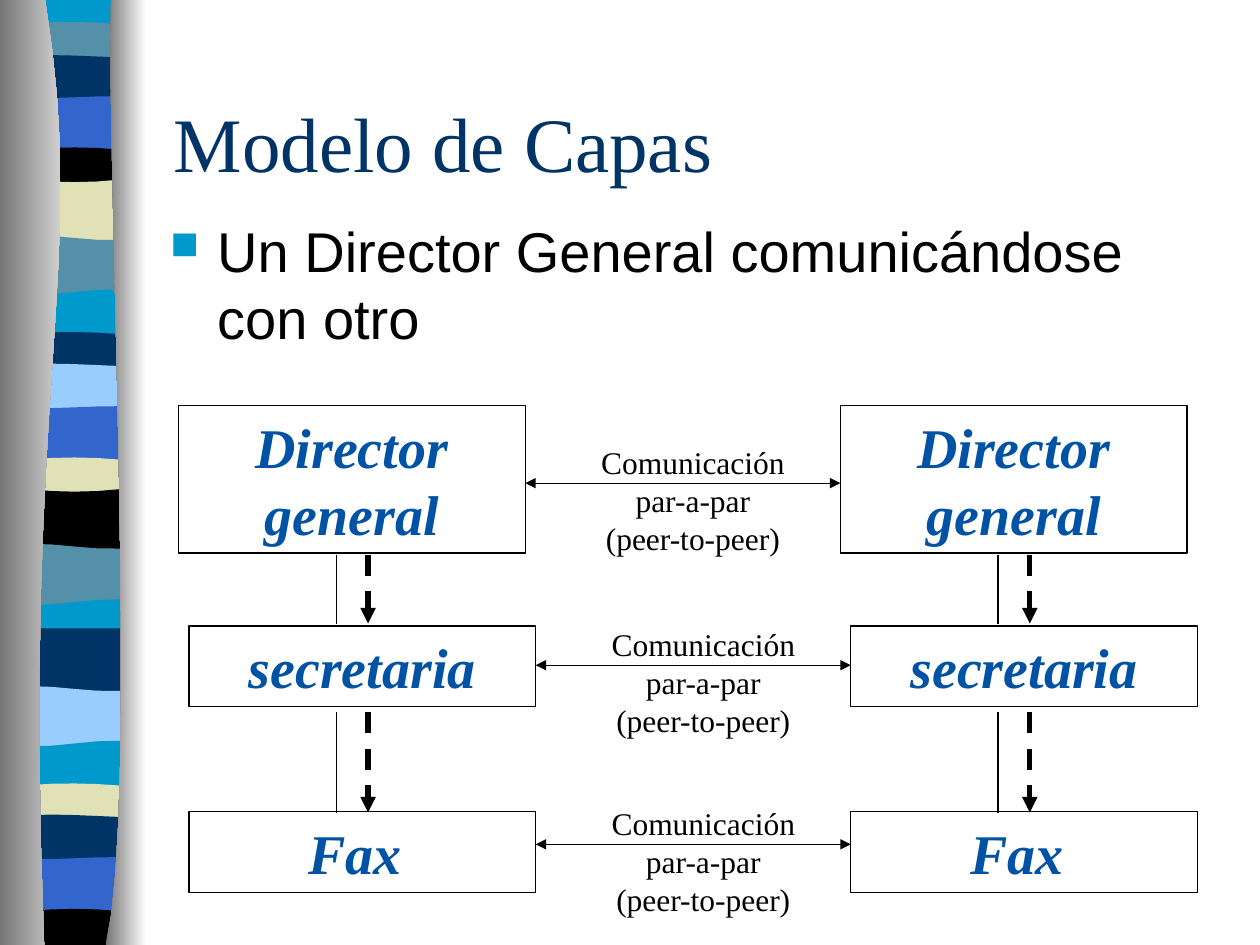
from dataclasses import dataclass

from lxml import etree
from pptx import Presentation
from pptx import util as u
from pptx.dml.color import RGBColor
from pptx.enum import dml, shapes, text
from pptx.oxml.ns import qn


@dataclass(frozen=True)
class Theme:
    serif: str = "Times New Roman"
    sans: str = "Arial"
    head: int = 44
    large: int = 32
    small: int = 18
    ink: str = "000000"
    navy: str = "003366"
    label: str = "0052A4"
    cyan: str = "0099CC"
    teal: str = "5490A8"
    sand: str = "E1E1B7"
    blue: str = "3366CC"
    sky: str = "99CCFF"
    dark: str = "767676"
    pale: str = "D0D0D0"
    white: str = "FFFFFF"


T = Theme()

# Offsets of the four control points of a stripe's upper edge
FLAT = (0, 0, 0, 0)
ARCH = (0, -0.13, -0.1, 0)
LIFT = (0, -0.13, 0, 0)
SAG = (0, 0.15, 0.15, 0)
BOWL = (0, -0.13, -0.13, 0)
RISE = (0, -0.15, 0.2, 0)
FALL = (0, 0.2, -0.2, 0)
ROLL = (0, 0.13, -0.05, 0.03)

STRIPES = [
    (0, T.cyan, FLAT), (0.53, T.teal, ARCH), (1.17, T.navy, LIFT),
    (1.93, T.blue, ROLL), (3.07, T.ink, BOWL), (3.56, T.sand, SAG),
    (4.78, T.teal, RISE), (5.89, T.cyan, FALL), (6.78, T.navy, ARCH),
    (7.39, T.sky, LIFT), (8.18, T.blue, ROLL), (9.32, T.sand, BOWL),
    (9.8, T.ink, SAG), (11, T.teal, RISE), (12.14, T.cyan, FALL),
    (12.67, T.navy, FLAT), (13.87, T.sky, RISE), (14.99, T.cyan, FALL),
    (15.88, T.sand, ARCH), (16.48, T.navy, LIFT), (17.27, T.blue, ROLL),
    (18.42, T.ink, BOWL),
]


def curve(*pts, n=6):
    """Sample a cubic Bezier through its four control points."""
    out = []
    for i in range(n + 1):
        t = i / n
        w = ((1 - t) ** 3, 3 * t * (1 - t) ** 2, 3 * t * t * (1 - t), t ** 3)
        out.append(tuple(sum(k * p[a] for k, p in zip(w, pts)) for a in (0, 1)))
    return out


class Deck:
    def __init__(self, theme):
        self.t = theme
        self.prs = Presentation()
        self.prs.slide_width, self.prs.slide_height = u.Cm(25.4), u.Cm(19.05)
        self.slide = self.prs.slides.add_slide(self.prs.slide_layouts[6])

    def font(self, para, size, face, color, bold=False):
        f = para.font
        f.size, f.name, f.bold, f.italic = u.Pt(size), face, bold, bold
        f.color.rgb = RGBColor.from_string(color)

    def area(self, pts, *colors):
        """Closed outline with a solid fill, or a gradient from left to right."""
        pts = [(u.Cm(x), u.Cm(y)) for x, y in pts]
        build = self.slide.shapes.build_freeform(*pts[0])
        build.add_line_segments(pts[1:], close=True)
        shape = build.convert_to_shape()
        shape.shadow.inherit = False
        shape.line.fill.background()
        if len(colors) == 1:
            shape.fill.solid()
            shape.fill.fore_color.rgb = RGBColor.from_string(colors[0])
        else:
            shape.fill.gradient()
            shape.fill.gradient_angle = 0
            for stop, color in zip(shape.fill.gradient_stops, colors):
                stop.color.rgb = RGBColor.from_string(color)

    def text(self, x, y, w, h, lines, size, face, color,
             align=text.PP_ALIGN.LEFT, anchor=text.MSO_ANCHOR.TOP):
        box = self.slide.shapes.add_textbox(*map(u.Cm, (x, y, w, h)))
        frame = box.text_frame
        frame.word_wrap, frame.vertical_anchor = True, anchor
        frame.text = "\n".join(lines)
        for para in frame.paragraphs:
            para.alignment = align
            self.font(para, size, face, color)
        return frame

    def bullet(self, x, y, w, h, line):
        para = self.text(x, y, w, h, [line], self.t.large, self.t.sans,
                         self.t.ink).paragraphs[0]
        props = para._p.get_or_add_pPr()
        indent = u.Cm(0.95)
        props.set("marL", str(indent))
        props.set("indent", str(-indent))
        tint = etree.Element(qn("a:buClr"))
        etree.SubElement(tint, qn("a:srgbClr"), val=self.t.cyan)
        size = etree.Element(qn("a:buSzPct"), val="70000")
        mark = etree.Element(qn("a:buChar"), char="■")
        for i, node in enumerate((tint, size, mark)):
            props.insert(i, node)

    def box(self, x, y, w, h, label):
        box = self.slide.shapes.add_shape(shapes.MSO_SHAPE.RECTANGLE,
                                          *map(u.Cm, (x, y, w, h)))
        box.shadow.inherit = False
        box.fill.background()
        box.line.color.rgb = RGBColor.from_string(self.t.ink)
        box.line.width = u.Pt(0.75)
        frame = box.text_frame
        frame.word_wrap, frame.text = True, label
        frame.vertical_anchor = text.MSO_ANCHOR.MIDDLE
        para = frame.paragraphs[0]
        para.alignment = text.PP_ALIGN.CENTER
        self.font(para, self.t.large, self.t.serif, self.t.label, bold=True)

    def line(self, x1, y1, x2, y2, width=0.75, dash=False, ends=()):
        link = self.slide.shapes.add_connector(
            shapes.MSO_CONNECTOR.STRAIGHT, *map(u.Cm, (x1, y1, x2, y2)))
        link.line.color.rgb = RGBColor.from_string(self.t.ink)
        link.line.width = u.Pt(width)
        if dash:
            link.line.dash_style = dml.MSO_LINE.DASH
        for end in ends:
            etree.SubElement(link.line._get_or_add_ln(), qn(f"a:{end}"),
                             type="triangle")
        etree.SubElement(link._element.spPr, qn("a:effectLst"))

    def ribbon(self):
        """Stripes that each overlap the one above, between two shaded sides."""
        left, right, end = 0.13, 2.87, 19.05
        xs = [left + i * (right - left) / 3 for i in range(4)]
        bases = [y + 0.15 for y, _, _ in STRIPES[1:]] + [end]
        for (y, color, wave), base in zip(STRIPES, bases):
            top = curve(*((x, y + d) for x, d in zip(xs, wave)))
            self.area(top + [(right, base), (left, base)], color)
        self.area([(0, 0)] + curve((0.91, 0), (1.8, 5.49), (0.43, 7.52),
                                   (0.89, end), n=16) + [(0, end)],
                  self.t.dark, self.t.pale)
        self.area(curve((2.24, 0), (2.13, 3.18), (2.82, 16.4), (2.13, end),
                        n=16) + [(2.95, end), (2.95, 0)],
                  self.t.dark, self.t.white)


def main():
    d = Deck(T)
    d.ribbon()
    d.text(3.25, 1.27, 21.59, 3.18, ["Modelo de Capas"], T.head, T.serif,
           T.navy, anchor=text.MSO_ANCHOR.MIDDLE)
    d.bullet(3.18, 4.24, 20.52, 3.38,
             "Un Director General comunicándose con otro")

    wide, step = 6.99, 13.34
    # left, top, height, label, height of the peer arrow
    layers = [(3.6, 8.18, 2.97, "Director general", 9.74),
              (3.81, 12.62, 1.63, "secretaria", 13.41),
              (3.81, 16.36, 1.63, "Fax ", 17.02)]
    for side in (0, step):
        for x, y, h, label, _ in layers:
            d.box(x + side, y, wide, h, label)
        for top, base in ((11.18, 12.57), (14.35, 16.38)):
            d.line(6.78 + side, top, 6.78 + side, base)
            d.line(7.42 + side, top, 7.42 + side, base, 3, True, ["tailEnd"])
    for x, _, _, _, mid in layers:
        d.line(x + wide, mid, x + step, mid, ends=["headEnd", "tailEnd"])
        d.text(x + 8.26, mid - 0.93, 4.22, 2.54,
               ["Comunicación", "par-a-par", "(peer-to-peer)"],
               T.small, T.serif, T.ink, text.PP_ALIGN.CENTER)
    d.prs.save("out.pptx")


if __name__ == "__main__":
    main()
